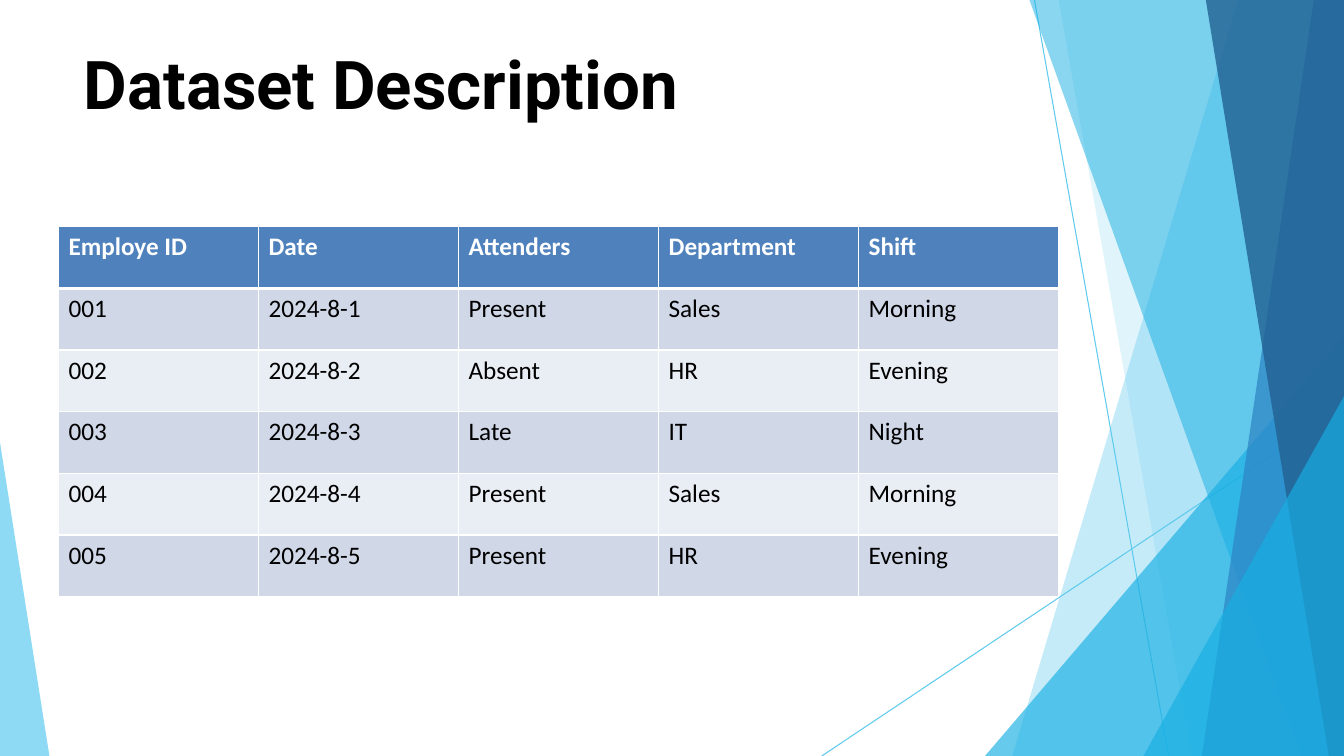
from dataclasses import dataclass

from lxml import etree
from pptx import Presentation
from pptx import util as u
from pptx.dml.color import RGBColor
from pptx.enum import shapes, text
from pptx.oxml import ns


@dataclass(frozen=True)
class Theme:
    """Colours, fonts and type sizes of the slide."""
    sky: str = "5FCAEE"
    cyan: str = "17AFE3"
    blue: str = "2D83C3"
    navy: str = "226192"
    header: str = "4F81BD"
    bands: tuple = ("D0D8E8", "E9EDF4")
    white: str = "FFFFFF"
    black: str = "000000"
    title_font: str = "Roboto"
    body_font: str = "Calibri"
    title_size: int = 48
    body_size: int = 18


class Deck:
    """Draws styled elements on the current slide."""

    def __init__(self, prs, theme):
        """Add a title-only slide to the presentation."""
        self.theme = theme
        self.s = prs.slides.add_slide(prs.slide_layouts[5])

    def run(self, p, content, font, size, color, bold=False):
        """Add one formatted run to a paragraph."""
        r = p.add_run()
        r.text = content
        r.font.name = font
        r.font.size = u.Pt(size)
        r.font.bold = bold
        r.font.color.rgb = RGBColor.from_string(color)

    def title(self, content, box):
        """Place and fill the title placeholder."""
        t, sp = self.theme, self.s.shapes.title
        sp.left, sp.top, sp.width, sp.height = map(u.Inches, box)
        tf = sp.text_frame
        tf.margin_left = tf.margin_top = tf.margin_right = tf.margin_bottom = 0
        tf.vertical_anchor = text.MSO_ANCHOR.TOP
        tf.word_wrap = True
        tf.auto_size = text.MSO_AUTO_SIZE.NONE
        p = tf.paragraphs[0]
        p.alignment = text.PP_ALIGN.LEFT
        self.run(p, content, t.title_font, t.title_size, t.black, True)

    def line(self, start, end, color, width=0.75):
        """Draw a thin straight line."""
        ends = [u.Inches(v) for v in start + end]
        cx = self.s.shapes.add_connector(shapes.MSO_CONNECTOR.STRAIGHT, *ends)
        cx.line.color.rgb = RGBColor.from_string(color)
        cx.line.width = u.Pt(width)
        etree.SubElement(cx.element.spPr, ns.qn("a:effectLst"))

    def facet(self, points, color, opacity):
        """Draw a translucent polygon."""
        pts = [(u.Inches(x), u.Inches(y)) for x, y in points]
        fb = self.s.shapes.build_freeform(*pts[0], scale=1.0)
        fb.add_line_segments(pts[1:], close=True)
        sp = fb.convert_to_shape()
        sp.shadow.inherit = False
        sp.line.fill.background()
        sp.fill.solid()
        sp.fill.fore_color.rgb = RGBColor.from_string(color)
        clr = next(sp.element.spPr.iter(ns.qn("a:srgbClr")))
        etree.SubElement(clr, ns.qn("a:alpha"), val=str(opacity * 1000))

    def borders(self, cell, bottom):
        """Give a cell white borders."""
        tc_pr = cell._tc.get_or_add_tcPr()
        for i, (side, width) in enumerate(zip("LRTB", (1, 1, 1, bottom))):
            ln = etree.Element(ns.qn(f"a:ln{side}"), w=str(u.Pt(width)))
            fill = etree.SubElement(ln, ns.qn("a:solidFill"))
            etree.SubElement(fill, ns.qn("a:srgbClr"), val=self.theme.white)
            tc_pr.insert(i, ln)

    def table(self, rows, box):
        """Draw an evenly spaced table with a header and banded rows."""
        t = self.theme
        frame = self.s.shapes.add_table(len(rows), len(rows[0]), *map(u.Inches, box))
        for i, row in enumerate(rows):
            head = i == 0
            fill = t.header if head else t.bands[(i - 1) % 2]
            for j, content in enumerate(row):
                cell = frame.table.cell(i, j)
                cell.fill.solid()
                cell.fill.fore_color.rgb = RGBColor.from_string(fill)
                self.borders(cell, 3 if head else 1)
                self.run(cell.text_frame.paragraphs[0], content, t.body_font,
                         t.body_size, t.white if head else t.black, head)


W, H = 13.33, 7.5
ROWS = [
    ("Employe ID", "Date", "Attenders", "Department", "Shift"),
    ("001", "2024-8-1", "Present", "Sales", "Morning"),
    ("002", "2024-8-2", "Absent", "HR", "Evening"),
    ("003", "2024-8-3", "Late", "IT", "Night"),
    ("004", "2024-8-4", "Present", "Sales", "Morning"),
    ("005", "2024-8-5", "Present", "HR", "Evening"),
]


def main():
    """Build the slide and save it."""
    prs = Presentation()
    prs.slide_width, prs.slide_height = u.Inches(W), u.Inches(H)
    t = Theme()
    deck = Deck(prs, t)
    deck.line((10.26, 0), (11.59, H), t.sky)
    deck.line((W, 4.04), (8.15, H), t.sky)

    def band(top, bottom):
        return [(W, 0), (top, 0), (bottom, H), (W, H)]

    def wedge(top, left):
        return [(W, top), (left, H), (W, H)]

    for points, color, opacity in (
        (band(12.28, 10.04), t.sky, 36),
        (band(10.5, 11.82), t.sky, 20),
        (wedge(3.33, 9.77), t.cyan, 66),
        (band(10.21, 12.91), t.cyan, 50),
        (band(13.03, 11.92), t.blue, 70),
        (band(11.96, 13.18), t.navy, 80),
        (wedge(3.93, 11.34), t.cyan, 66),
        ([(0, 4.39), (0, H), (0.49, H)], t.sky, 70),
    ):
        deck.facet(points, color, opacity)
    deck.title("Dataset Description", (0.83, 0.42, 11.68, 0.83))
    deck.table(ROWS, (0.58, 2.25, 9.92, 3.67))
    prs.save("out.pptx")


if __name__ == "__main__":
    main()
